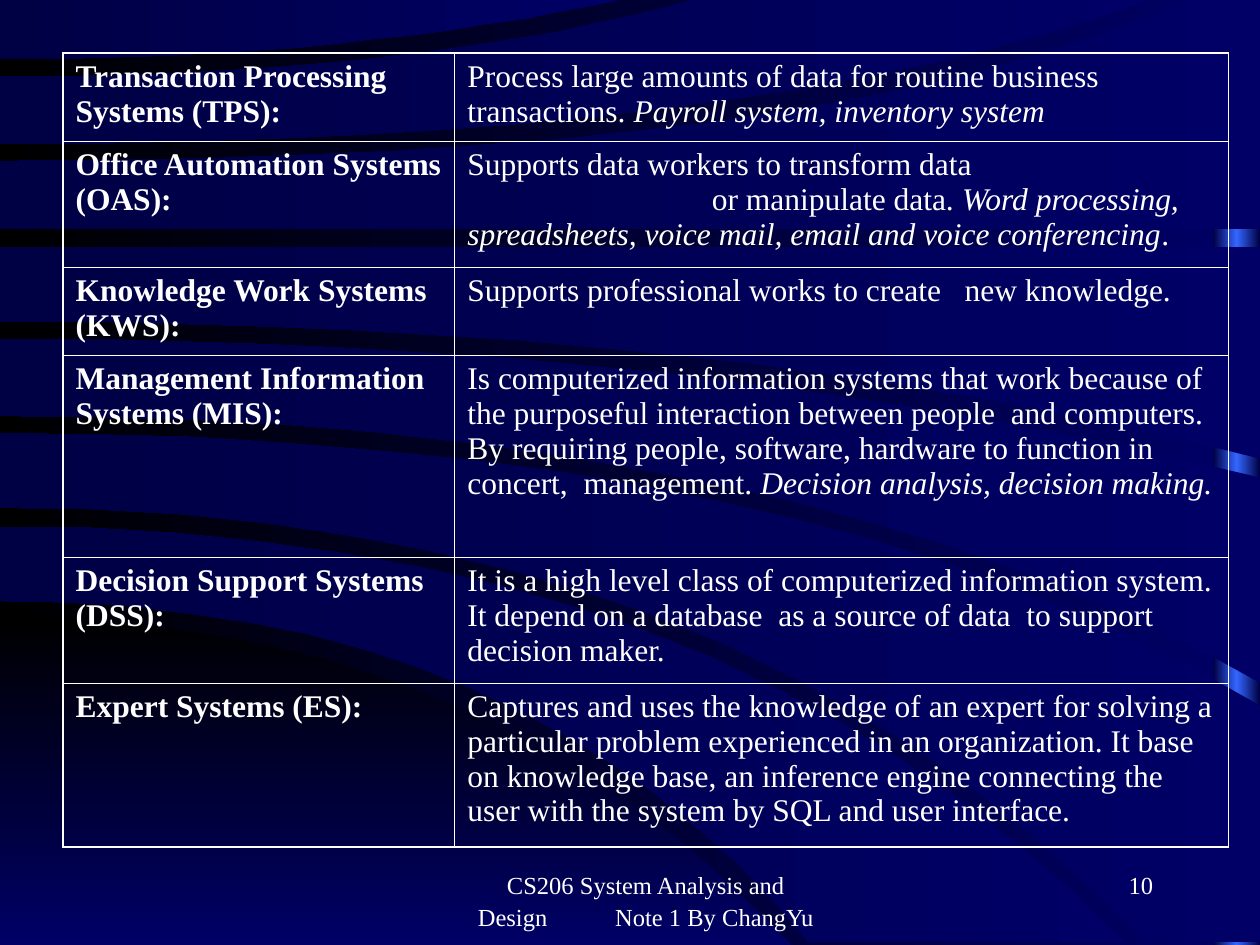
from copy import deepcopy

from lxml.etree import SubElement
from pptx import Presentation
from pptx.dml.color import RGBColor
from pptx.enum.shapes import MSO_SHAPE
from pptx.enum.text import PP_ALIGN
from pptx.oxml.ns import qn
from pptx.util import Pt

PX = 9144  # 100 px to the inch
WIDTH, HEIGHT = 1000, 750

WHITE = RGBColor(0xFF, 0xFF, 0xFF)
BLACK = RGBColor(0x00, 0x00, 0x00)
NAVY = RGBColor(0x00, 0x00, 0x66)
DARK_NAVY = RGBColor(0x00, 0x00, 0x44)
BRIGHT_BLUE = RGBColor(0x33, 0x66, 0xFF)
FONT = "Times New Roman"
OUTER_BORDER, INNER_BORDER = 1.08, 0.45
CURVE_STEPS = 16

# Upper and lower edge of each curved band: start y, control x, end x, end y
WEDGE = ((491, 388, 628, 750), (750, 314, 628, 750))
BANDS = [
    ((418, 573, 893, 748), (477, 421, 642, 748)),
    ((344, 640, 1000, 560), (403, 587, 909, 748)),
    ((269, 552, 1000, 379), (330, 630, 1000, 542)),
    ((196, 500, 1000, 196), (255, 580, 1000, 364)),
    ((128, 679, 943, -2), (182, 500, 1000, 182)),
    ((61, 338, 556, -2), (114, 611, 917, -2)),
    ((-2, 250, 501, -2), (47, 280, 501, -2)),
]

COLUMN_WIDTHS = [311, 614]
ROW_HEIGHTS = [70, 100, 70, 160, 100, 130]
# Each row: bold heading, then (text, italic) runs; None is a line break
SYSTEMS = [
    ("Transaction Processing Systems (TPS):",
     [("Process large amounts of data for routine business transactions. ", False),
      ("Payroll system, inventory system", True)]),
    ("Office Automation Systems (OAS):",
     [("Supports data workers to transform data", False), None,
      ("\tor manipulate data. ", False),
      ("Word processing, spreadsheets, voice mail, email and voice conferencing", True),
      (".", False)]),
    ("Knowledge Work Systems (KWS):",
     [("Supports professional works to create   new knowledge.", False)]),
    ("Management Information Systems (MIS):",
     [("Is computerized information systems that work because of the purposeful "
       "interaction between people  and computers. By requiring people, software, "
       "hardware to function in concert,  management. ", False),
      ("Decision analysis, decision making.", True)]),
    ("Decision Support Systems (DSS):",
     [("It is a high level class of computerized information system. It depend on a "
       "database  as a source of data  to support decision maker.", False)]),
    ("Expert Systems (ES):",
     [("Captures and uses the knowledge of an expert for solving a particular problem "
       "experienced in an organization. It base on knowledge base, an inference engine "
       "connecting the user with the system by SQL and user interface.", False)]),
]


def set_gradient(fill, first, last, angle=180):
    fill.gradient()
    fill.gradient_angle = angle
    for stop, color in zip(fill.gradient_stops, (first, last)):
        stop.color.rgb = color


def finish_shape(shape):
    shape.shadow.inherit = False
    shape.line.fill.background()


def add_stripe(slide, left, top, width, height):
    """Vertical stripe that is bright along its middle."""
    stripe = slide.shapes.add_shape(
        MSO_SHAPE.RECTANGLE, left * PX, top * PX, width * PX, height * PX)
    set_gradient(stripe.fill, DARK_NAVY, DARK_NAVY)
    first = stripe._element.spPr.find(".//" + qn("a:gs"))
    first.addnext(deepcopy(first))
    middle = stripe.fill.gradient_stops[1]
    middle.position = 0.5
    middle.color.rgb = BRIGHT_BLUE
    finish_shape(stripe)


def edge_points(start_y, control_x, end_x, end_y):
    """Points of a quadratic curve that leaves the left side horizontally."""
    steps = [step / CURVE_STEPS for step in range(CURVE_STEPS + 1)]
    return [(round(2 * t * (1 - t) * control_x + t * t * end_x),
             round(start_y + t * t * (end_y - start_y))) for t in steps]


def add_band(slide, edges, first, last, angle=180):
    upper, lower = [edge_points(*edge) for edge in edges]
    shorter_end, longer_end = sorted((upper[-1], lower[-1]))
    corner = (longer_end[0], shorter_end[1])
    if upper[-1][0] == lower[-1][0]:
        corner = upper[-1]
    points = upper + [corner] + lower[::-1]
    builder = slide.shapes.build_freeform(*points[0], scale=PX)
    builder.add_line_segments(points[1:], close=True)
    band = builder.convert_to_shape()
    set_gradient(band.fill, first, last, angle)
    finish_shape(band)


def add_background(slide):
    set_gradient(slide.background.fill, NAVY, BLACK)
    add_stripe(slide, WIDTH - 37, 0, 37, HEIGHT)
    add_band(slide, WEDGE, BLACK, NAVY, 270)
    for edges in BANDS:
        add_band(slide, edges, NAVY, DARK_NAVY)


def add_run(paragraph, text, size, bold=False, italic=False):
    run = paragraph.add_run()
    run.text = text
    font = run.font
    font.name, font.size, font.bold, font.italic = FONT, Pt(size), bold, italic
    font.color.rgb = WHITE


def add_tab_stop(paragraph, position):
    tabs = SubElement(paragraph._p.get_or_add_pPr(), qn("a:tabLst"))
    SubElement(tabs, qn("a:tab"), pos=str(position * PX), algn="l")


def set_border(cell, side, width):
    line = SubElement(cell._tc.get_or_add_tcPr(), qn("a:ln" + side), w=str(int(Pt(width))))
    fill = SubElement(line, qn("a:solidFill"))
    SubElement(fill, qn("a:srgbClr"), val=str(WHITE))


def style_cell(cell, outer_sides):
    cell.margin_left = cell.margin_right = 10 * PX
    cell.margin_top = cell.margin_bottom = 5 * PX
    for side in "LRTB":
        set_border(cell, side, OUTER_BORDER if side in outer_sides else INNER_BORDER)
    cell.fill.background()


def add_systems_table(slide, left, top):
    table = slide.shapes.add_table(
        len(SYSTEMS), len(COLUMN_WIDTHS), left * PX, top * PX,
        sum(COLUMN_WIDTHS) * PX, sum(ROW_HEIGHTS) * PX).table
    table.first_row = table.horz_banding = False
    for column, width in zip(table.columns, COLUMN_WIDTHS):
        column.width = width * PX
    for index, (heading, runs) in enumerate(SYSTEMS):
        table.rows[index].height = ROW_HEIGHTS[index] * PX
        edge = "T" if index == 0 else "B" if index == len(SYSTEMS) - 1 else ""
        name_cell, description_cell = table.cell(index, 0), table.cell(index, 1)
        style_cell(name_cell, "L" + edge)
        style_cell(description_cell, "R" + edge)
        add_run(name_cell.text_frame.paragraphs[0], heading, 18, bold=True)
        paragraph = description_cell.text_frame.paragraphs[0]
        if None in runs:
            add_tab_stop(paragraph, 194)
        for run in runs:
            if run is None:
                paragraph.add_line_break()
            else:
                add_run(paragraph, run[0], 18, italic=run[1])


def add_footer(slide, left, top, width, height, text, alignment):
    frame = slide.shapes.add_textbox(
        left * PX, top * PX, width * PX, height * PX).text_frame
    frame.word_wrap = True
    frame.margin_left, frame.margin_right = 34 * PX, 10 * PX
    frame.margin_top = frame.margin_bottom = 5 * PX
    paragraph = frame.paragraphs[0]
    if "\t" in text:
        add_tab_stop(paragraph, 109)
    paragraph.alignment = alignment
    paragraph.line_spacing = 1.1
    add_run(paragraph, text, 14)


def main():
    presentation = Presentation()
    presentation.slide_width, presentation.slide_height = WIDTH * PX, HEIGHT * PX
    slide = presentation.slides.add_slide(presentation.slide_layouts[6])
    add_background(slide)
    add_systems_table(slide, 50, 42)
    add_footer(slide, 342, 683, 317, 50,
               "CS206 System Analysis and Design\tNote 1 By ChangYu", PP_ALIGN.CENTER)
    add_footer(slide, 717, 683, 208, 50, "10", PP_ALIGN.RIGHT)
    presentation.save("out.pptx")


if __name__ == "__main__":
    main()
